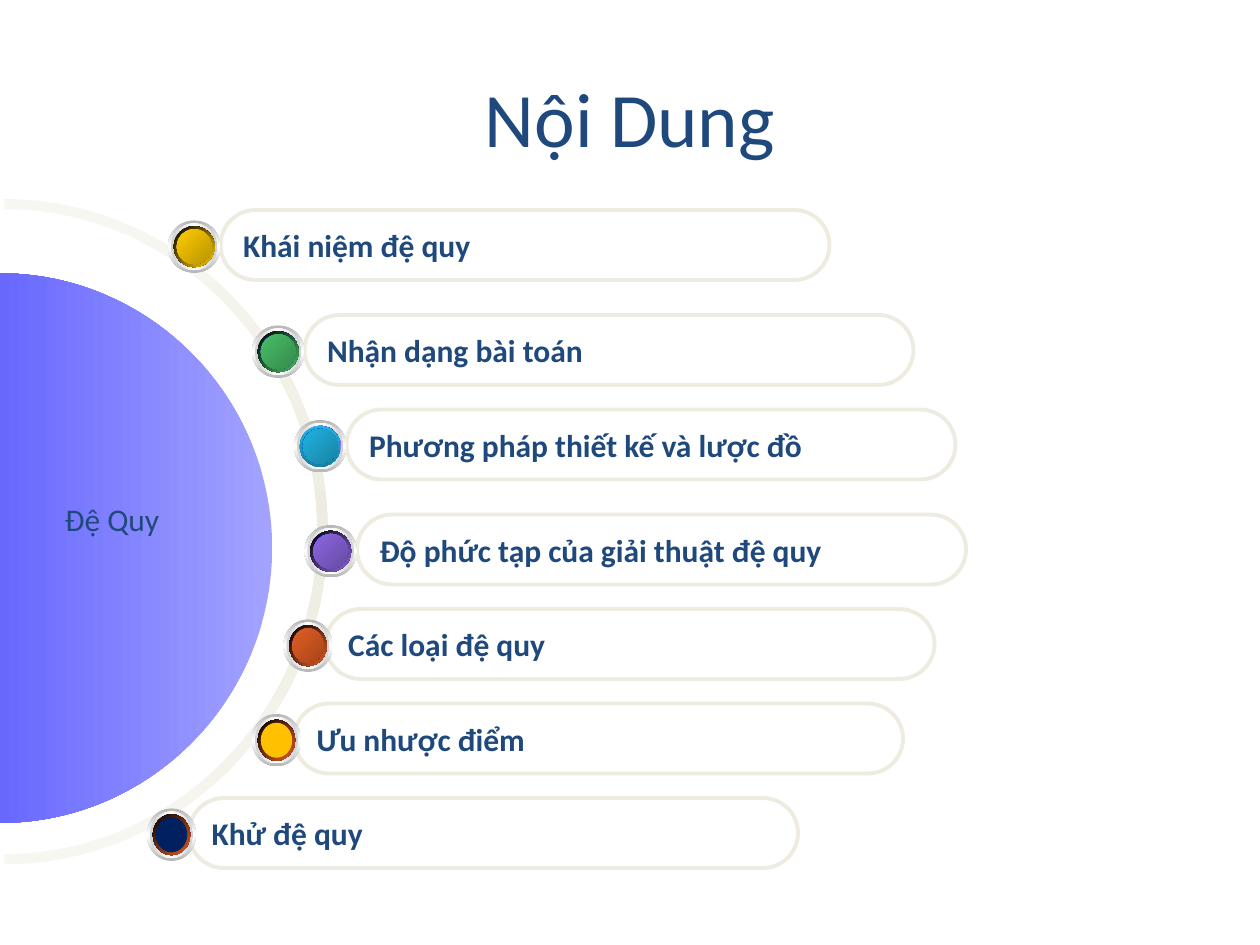
import dataclasses
from typing import Any

import lxml.etree
import pptx
import pptx.dml.color
import pptx.enum.shapes
import pptx.enum.text
import pptx.oxml.ns
import pptx.util

Pt = pptx.util.Pt
qn = pptx.oxml.ns.qn
SHAPE = pptx.enum.shapes.MSO_SHAPE
NAVY = "1F497D"
CREAM = "EEECE1"
FONT = "Calibri"
CIRCLE_HANDLE = 0.55

Point = tuple[float, float]


@dataclasses.dataclass(frozen=True)
class Paint:
    colors: tuple[str, ...]
    angle: int = 45


@dataclasses.dataclass(frozen=True)
class Topic:
    label: str
    left: float
    top: float
    rim: Paint
    core: Paint
    button_width: float = 30
    button_offset: float = 30


@dataclasses.dataclass(frozen=True)
class Arch:
    left: float
    top: float
    width: float
    height: float
    base: float
    paint: Paint
    thickness: float = 0


CHROME = Paint(("B6B6B6", "FFFFFF", "B6B6B6"), 90)
BEVEL = Paint(("D1D1D1", "FFFFFF", "D1D1D1"), 0)
GLINT = Paint(("FFFFFF", "0000FF", "FFFFFF"))
CORE_BASE = Paint(("0000C3", "0000FF", "0000C3"), 315)
ORANGE_RIM = Paint(("000000", "E35E23"))

ARCHES = [
    Arch(-190.8, 115.9, 380.2, 375.8, 185,
         Paint(("F7F7F2", CREAM, "F7F7F2"), 0), 5.8),
    Arch(-157, 157.7, 314, 311, 155.5,
         Paint(("A3A3FF", "6868FF", "5050FF"), 90)),
]

TOPICS = [
    Topic("Khái niệm đệ quy", 126, 120,
          Paint(("000000", "FFCC00")), Paint(("FFCC00", "BA9500"))),
    Topic("Nhận dạng bài toán", 174, 180,
          Paint(("000000", "48BE67")), Paint(("48BE67", "358B4B"))),
    Topic("Phương pháp thiết kế và lược đồ", 198, 234,
          Paint(("21B3E1", "1880A1"), 90), Paint(("21B3E1", "1883A4"))),
    Topic("Độ phức tạp của giải thuật đệ quy", 204, 294,
          Paint(("000000", "8D67E1")), Paint(("8D67E1", "674BA4"))),
    Topic("Các loại đệ quy", 186, 348,
          ORANGE_RIM, Paint(("E35E23", "A6451A")), 28, 24),
    Topic("Ưu nhược điểm", 168, 402, ORANGE_RIM, Paint(("FFC000",)), 28, 24),
    Topic("Khử đệ quy", 108, 456, ORANGE_RIM, Paint(("002060",)), 28, 24),
]


def color(value: str) -> pptx.dml.color.RGBColor:
    return pptx.dml.color.RGBColor.from_string(value)


def apply_paint(shape: Any, paint: Paint) -> None:
    shape.shadow.inherit = False
    shape.line.fill.background()
    if len(paint.colors) == 1:
        shape.fill.solid()
        shape.fill.fore_color.rgb = color(paint.colors[0])
        return
    shape.fill.gradient()
    gradient = shape.element.spPr.find(qn("a:gradFill"))
    stops = gradient.find(qn("a:gsLst"))
    for stop in list(stops):
        stops.remove(stop)
    for index, value in enumerate(paint.colors):
        position = index * 100000 // (len(paint.colors) - 1)
        stop = lxml.etree.SubElement(stops, qn("a:gs"), pos=str(position))
        lxml.etree.SubElement(stop, qn("a:srgbClr"), val=value)
    gradient.find(qn("a:lin")).set("ang", str(paint.angle * 60000))


def arch_curves(width: float, base: float, inset: float) -> list[Point]:
    middle = width / 2
    reach = CIRCLE_HANDLE * (middle - inset)
    shoulder = base - CIRCLE_HANDLE * (base - inset)
    return [
        (inset, base), (inset, shoulder), (middle - reach, inset),
        (middle, inset), (middle + reach, inset),
        (width - inset, shoulder), (width - inset, base),
    ]


def add_step(outline: Any, kind: str, points: list[Point]) -> None:
    step = lxml.etree.SubElement(outline, qn(f"a:{kind}"))
    for x, y in points:
        lxml.etree.SubElement(step, qn("a:pt"), x=str(Pt(x)), y=str(Pt(y)))


def add_arch(page: Any, arch: Arch) -> None:
    right, bottom = arch.left + arch.width, arch.top + arch.height
    builder = page.shapes.build_freeform(Pt(arch.left), Pt(arch.top))
    builder.add_line_segments([(Pt(right), Pt(arch.top)), (Pt(right), Pt(bottom)),
                               (Pt(arch.left), Pt(bottom))])
    shape = builder.convert_to_shape()
    outline = next(shape.element.iter(qn("a:path")))
    for step in list(outline):
        outline.remove(step)
    rims = [arch_curves(arch.width, arch.base, 0)]
    if arch.thickness:
        rims.append(arch_curves(arch.width, arch.base, arch.thickness)[::-1])
    for index, rim in enumerate(rims):
        add_step(outline, "lnTo" if index else "moveTo", rim[:1])
        add_step(outline, "cubicBezTo", rim[1:4])
        add_step(outline, "cubicBezTo", rim[4:])
    add_step(outline, "close", [])
    shape.rotation = 90
    apply_paint(shape, arch.paint)


def write_text(shape: Any, text: str, size: float, bold: bool = False,
               centered: bool = False) -> None:
    alignment = pptx.enum.text.PP_ALIGN
    para = shape.text_frame.paragraphs[0]
    para.text = text
    para.alignment = alignment.CENTER if centered else alignment.LEFT
    para.font.name = FONT
    para.font.size = Pt(size)
    para.font.bold = bold
    para.font.color.rgb = color(NAVY)


def add_pill(page: Any, topic: Topic) -> None:
    pill = page.shapes.add_shape(
        SHAPE.ROUNDED_RECTANGLE, Pt(topic.left), Pt(topic.top), Pt(348), Pt(40))
    pill.adjustments[0] = 0.5
    pill.shadow.inherit = False
    pill.fill.background()
    pill.line.color.rgb = color(CREAM)
    pill.line.width = Pt(2.25)
    pill.text_frame.word_wrap = False
    pill.text_frame.vertical_anchor = pptx.enum.text.MSO_ANCHOR.MIDDLE
    write_text(pill, topic.label, 18, bold=True)


def add_button(page: Any, topic: Topic) -> None:
    layers = [(0, CHROME), (1.7, BEVEL), (3.3, GLINT), (3.3, topic.rim)]
    if len(topic.core.colors) > 1:
        layers.append((5, CORE_BASE))
    layers.append((5, topic.core))
    group = page.shapes.add_group_shape()
    for inset, paint in layers:
        disc = group.shapes.add_shape(
            SHAPE.OVAL,
            Pt(topic.left - topic.button_offset + inset),
            Pt(topic.top + 6 + inset),
            Pt(topic.button_width - 2 * inset),
            Pt(30 - 2 * inset),
        )
        apply_paint(disc, paint)


def add_label(page: Any, text: str, left: float, top: float, width: float,
              height: float, size: float, centered: bool = False) -> None:
    box = page.shapes.add_textbox(Pt(left), Pt(top), Pt(width), Pt(height))
    box.text_frame.word_wrap = True
    if centered:
        box.text_frame.vertical_anchor = pptx.enum.text.MSO_ANCHOR.MIDDLE
    write_text(box, text, size, centered=centered)


def main() -> None:
    deck = pptx.Presentation()
    deck.slide_width, deck.slide_height = Pt(720), Pt(540)
    page = deck.slides.add_slide(deck.slide_layouts[6])
    for arch in ARCHES:
        add_arch(page, arch)
    for topic in TOPICS:
        add_pill(page, topic)
        add_button(page, topic)
    add_label(page, "Đệ Quy", 30, 282, 90, 29, 18)
    add_label(page, "Nội Dung", 36, 21.6, 648, 90, 44, centered=True)
    deck.save("out.pptx")


if __name__ == "__main__":
    main()
